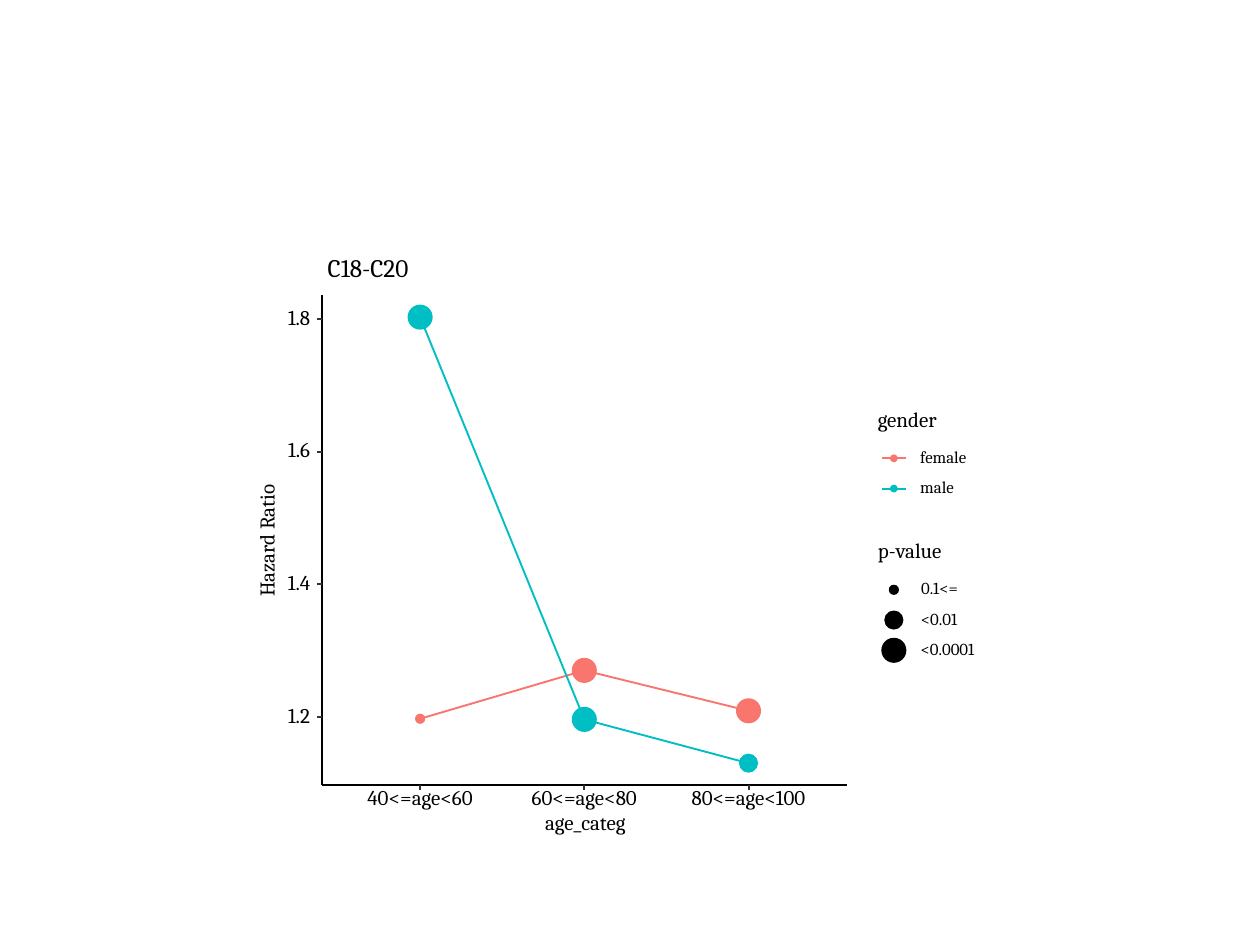
from dataclasses import dataclass
from typing import Optional

from lxml.etree import SubElement
from pptx import Presentation
from pptx.dml.color import RGBColor
from pptx.enum.shapes import MSO_CONNECTOR as Connector, MSO_SHAPE as Preset
from pptx.enum.text import MSO_ANCHOR as Anchor, PP_ALIGN as Align
from pptx.oxml.ns import qn
from pptx.util import Cm, Pt

COLORS = {
    "paper": "FFFFFF",
    "ink": "000000",
    "tick": "333333",
    "female": "F8766D",
    "male": "00BFC4",
}
FRAME_FORMAT = {
    "margin_left": 0,
    "margin_right": 0,
    "margin_top": 0,
    "margin_bottom": 0,
    "word_wrap": False,
    "vertical_anchor": Anchor.MIDDLE,
}
DIAMETERS = {"0.1<=": 0.18, "<0.01": 0.36, "<0.0001": 0.48}
LINE_WIDTH, TICK_WIDTH, DOT_OUTLINE = 1.07, 1.16, 0.71
TICK_LENGTH = 0.1

PANEL_LEFT, PANEL_TOP, PANEL_WIDTH, PANEL_HEIGHT = 6.49, 5.94, 10.59, 9.88
PANEL_RIGHT, PANEL_BOTTOM = PANEL_LEFT + PANEL_WIDTH, PANEL_TOP + PANEL_HEIGHT
LEGEND_LEFT, LEGEND_KEY, LEGEND_TEXT, LEGEND_STEP = 17.5, 18.02, 18.52, 0.61


@dataclass
class Label:
    text: str
    x: float
    y: float
    width: float
    height: float = 0.36
    size: float = 12
    rotation: float = 0


@dataclass
class Series:
    gender: str
    ratios: tuple[float, ...]
    p_values: tuple[str, ...]


@dataclass
class LegendEntry:
    text: str
    width: float
    diameter: float
    color: str
    has_line: bool = False


@dataclass
class Legend:
    title: Label
    top: float
    width: float
    height: float
    first_row: float
    entries: tuple[LegendEntry, ...]


GENDERS = (
    Series("female", (1.197, 1.27, 1.209), ("0.1<=", "<0.0001", "<0.0001")),
    Series("male", (1.803, 1.196, 1.13), ("<0.0001", "<0.0001", "<0.01")),
)
AGES = (("40<=age<60", 2.18), ("60<=age<80", 2.18), ("80<=age<100", 2.38))
RATIO_TICKS = (1.2, 1.4, 1.6, 1.8)
TITLES = (
    Label("age_categ", 11.8, 16.61, 1.72),
    Label("Hazard Ratio", 5.41, 10.9, 2.36, 0.3, rotation=270),
    Label("C18-C20", 7.42, 5.44, 1.85, size=14.4),
)
LEGENDS = (
    Legend(Label("gender", 18.29, 8.5, 1.26), 8.15, 2.16, 2.24, 9.24, (
        LegendEntry("female", 0.99, 0.13, "female", True),
        LegendEntry("male", 0.74, 0.13, "male", True),
    )),
    Legend(Label("p-value", 18.34, 11.14, 1.36), 10.8, 2.36, 2.84, 11.89, (
        LegendEntry("0.1<=", 0.84, DIAMETERS["0.1<="], "ink"),
        LegendEntry("<0.01", 0.82, DIAMETERS["<0.01"], "ink"),
        LegendEntry("<0.0001", 1.16, DIAMETERS["<0.0001"], "ink"),
    )),
)


def rgb(color: str) -> RGBColor:
    return RGBColor.from_string(COLORS[color])


def age_x(index: int) -> float:
    return 8.47 + 3.31 * index


def ratio_y(ratio: float) -> float:
    return 14.45 - (ratio - 1.2) * 13.36


def set_line(line, color: str, width: float) -> None:
    line.color.rgb = rgb(color)
    line.width = Pt(width)


def draw_shape(shapes, preset, left: float, top: float, width: float, height: float,
               color: str, outline: Optional[float] = None) -> None:
    shape = shapes.add_shape(preset, Cm(left), Cm(top), Cm(width), Cm(height))
    shape.shadow.inherit = False
    shape.fill.solid()
    shape.fill.fore_color.rgb = rgb(color)
    if outline is None:
        shape.line.fill.background()
    else:
        set_line(shape.line, color, outline)


def draw_dot(shapes, x: float, y: float, diameter: float, color: str) -> None:
    draw_shape(shapes, Preset.OVAL, x - diameter / 2, y - diameter / 2,
               diameter, diameter, color, DOT_OUTLINE)


def draw_line(shapes, x1: float, y1: float, x2: float, y2: float,
              color: str, width: float = LINE_WIDTH) -> None:
    line = shapes.add_connector(Connector.STRAIGHT, Cm(x1), Cm(y1), Cm(x2), Cm(y2))
    set_line(line.line, color, width)
    SubElement(line._element.spPr, qn("a:effectLst"))


def draw_label(shapes, label: Label) -> None:
    box = shapes.add_textbox(Cm(label.x - label.width / 2), Cm(label.y - label.height / 2),
                             Cm(label.width), Cm(label.height))
    box.rotation = label.rotation
    for attribute, value in FRAME_FORMAT.items():
        setattr(box.text_frame, attribute, value)
    paragraph = box.text_frame.paragraphs[0]
    paragraph.alignment = Align.CENTER
    paragraph.line_spacing = Pt(label.size)
    run = paragraph.add_run()
    run.text = label.text
    for attribute, value in {"name": "Cambria", "size": Pt(label.size)}.items():
        setattr(run.font, attribute, value)
    run.font.color.rgb = rgb("ink")


def draw_series(shapes, series: Series) -> None:
    points = [(Cm(age_x(i)), Cm(ratio_y(ratio))) for i, ratio in enumerate(series.ratios)]
    builder = shapes.build_freeform(*points[0])
    builder.add_line_segments(points[1:], close=False)
    trend = builder.convert_to_shape()
    trend.shadow.inherit = False
    trend.fill.background()
    set_line(trend.line, series.gender, LINE_WIDTH)


def draw_axes(shapes) -> None:
    draw_line(shapes, PANEL_LEFT, PANEL_BOTTOM, PANEL_LEFT, PANEL_TOP, "ink")
    for ratio in RATIO_TICKS:
        y = ratio_y(ratio)
        draw_label(shapes, Label(f"{ratio}", 6.03, y, 0.53, 0.28))
        draw_line(shapes, PANEL_LEFT - TICK_LENGTH, y, PANEL_LEFT, y, "tick", TICK_WIDTH)
    draw_line(shapes, PANEL_LEFT, PANEL_BOTTOM, PANEL_RIGHT, PANEL_BOTTOM, "ink")
    for index, (age, width) in enumerate(AGES):
        x = age_x(index)
        draw_line(shapes, x, PANEL_BOTTOM + TICK_LENGTH, x, PANEL_BOTTOM, "tick", TICK_WIDTH)
        draw_label(shapes, Label(age, x, 16.12, width, 0.38))


def draw_legend(shapes, legend: Legend) -> None:
    draw_shape(shapes, Preset.RECTANGLE, LEGEND_LEFT, legend.top,
               legend.width, legend.height, "paper")
    draw_label(shapes, legend.title)
    for row, entry in enumerate(legend.entries):
        y = legend.first_row + row * LEGEND_STEP
        if entry.has_line:
            draw_line(shapes, LEGEND_KEY - 0.24, y, LEGEND_KEY + 0.24, y, entry.color)
        draw_dot(shapes, LEGEND_KEY, y, entry.diameter, entry.color)
        draw_label(shapes, Label(entry.text, LEGEND_TEXT + entry.width / 2, y,
                                 entry.width, 0.23, 9.6))


def main() -> None:
    deck = Presentation()
    deck.slide_width, deck.slide_height = Cm(25.4), Cm(19.05)
    slide = deck.slides.add_slide(deck.slide_layouts[6])
    plot = slide.shapes.add_group_shape().shapes
    draw_shape(plot, Preset.RECTANGLE, 5.08, 5.08, 15.01, 11.99, "paper", TICK_WIDTH)
    draw_shape(plot, Preset.RECTANGLE, PANEL_LEFT, PANEL_TOP, PANEL_WIDTH, PANEL_HEIGHT, "paper")
    for series in GENDERS:
        draw_series(plot, series)
    for series in GENDERS:
        for index, (ratio, p_value) in enumerate(zip(series.ratios, series.p_values)):
            draw_dot(plot, age_x(index), ratio_y(ratio), DIAMETERS[p_value], series.gender)
    draw_axes(plot)
    for title in TITLES:
        draw_label(plot, title)
    for legend in LEGENDS:
        draw_legend(plot, legend)
    deck.save("out.pptx")


if __name__ == "__main__":
    main()
